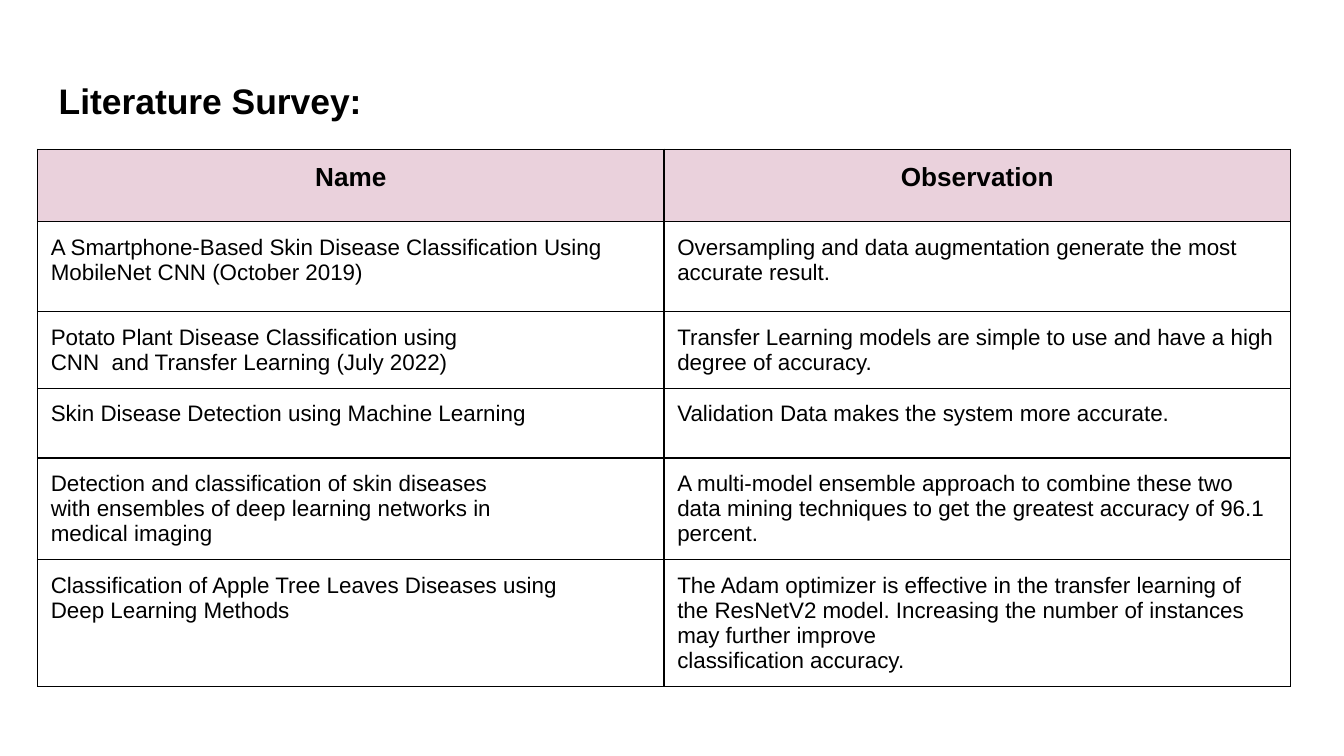
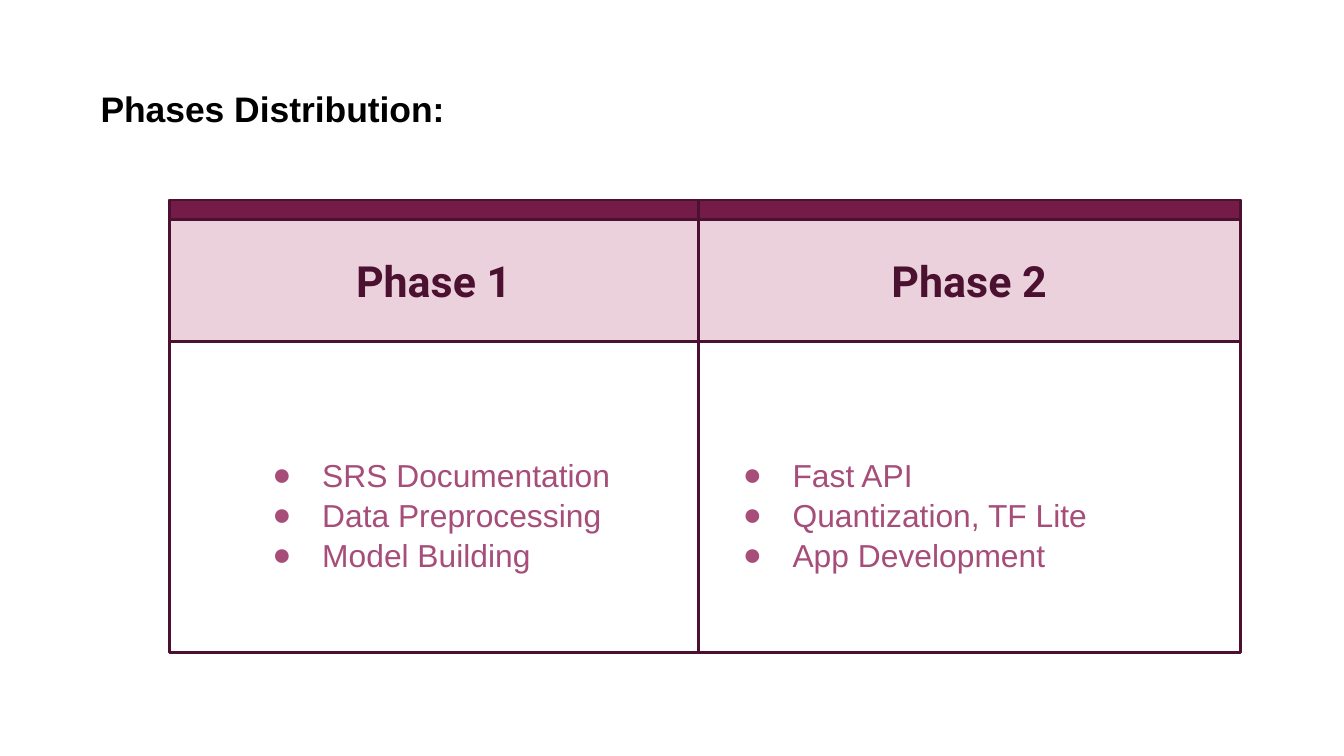
from lxml import etree
from pptx import Presentation
from pptx.dml.color import RGBColor
from pptx.enum.shapes import MSO_SHAPE
from pptx.enum.text import MSO_ANCHOR, MSO_AUTO_SIZE, PP_ALIGN
from pptx.oxml.ns import qn
from pptx.util import Cm, Pt

RECT = MSO_SHAPE.RECTANGLE
TOP, MIDDLE = MSO_ANCHOR.TOP, MSO_ANCHOR.MIDDLE
LEFT, CENTER = PP_ALIGN.LEFT, PP_ALIGN.CENTER
NO_FIT = MSO_AUTO_SIZE.NONE

THEME = {
    "black": RGBColor.from_string("000000"),
    "pink": RGBColor.from_string("EAD1DC"),
    "plum": RGBColor.from_string("741B47"),
    "dark": RGBColor.from_string("4C1130"),
    "rose": RGBColor.from_string("A64D79"),
    "title": {"name": "Arial", "size": Pt(19), "bold": True},
    "head": {"name": "Arial", "size": Pt(14), "bold": True},
    "body": {"name": "Arial", "size": Pt(12), "bold": False},
    "phase": {"name": "Roboto", "size": Pt(23), "bold": True},
    "task": {"name": "Arial", "size": Pt(17), "bold": False},
}
INSET = Cm(0.25)
FRAME = {
    "margin_left": INSET, "margin_top": INSET,
    "margin_right": INSET, "margin_bottom": INSET,
    "word_wrap": True, "auto_size": NO_FIT,
}


def write(tf, text, style, color, align=LEFT, anchor=TOP):
    for key, value in FRAME.items():
        setattr(tf, key, value)
    tf.vertical_anchor = anchor
    for i, line in enumerate(text.split("\n")):
        p = tf.paragraphs[0] if i == 0 else tf.add_paragraph()
        p.alignment = align
        r = p.add_run()
        r.text = line
        for key, value in THEME[style].items():
            setattr(r.font, key, value)
        r.font.color.rgb = THEME[color]


def titled_slide(title, box):
    s = prs.slides.add_slide(prs.slide_layouts[5])
    sp = s.shapes.title
    sp.left, sp.top, sp.width, sp.height = map(Cm, box)
    write(sp.text_frame, title, "title", "black")
    return s


prs = Presentation()
prs.slide_width, prs.slide_height = Cm(25.4), Cm(14.29)

s = titled_slide("Literature Survey:", (0.86, 1.24, 23.67, 1.6))
survey = [
    ("Name", "Observation"),
    ("A Smartphone-Based Skin Disease Classification Using MobileNet CNN (October 2019)",
     "Oversampling and data augmentation generate the most accurate result."),
    ("Potato Plant Disease Classification using\nCNN  and Transfer Learning (July 2022)",
     "Transfer Learning models are simple to use and have a high degree of accuracy."),
    ("Skin Disease Detection using Machine Learning",
     "Validation Data makes the system more accurate."),
    ("Detection and classification of skin diseases\n"
     "with ensembles of deep learning networks in\nmedical imaging",
     "A multi-model ensemble approach to combine these two data mining techniques "
     "to get the greatest accuracy of 96.1 percent."),
    ("Classification of Apple Tree Leaves Diseases using\nDeep Learning Methods",
     "The Adam optimizer is effective in the transfer learning of the ResNetV2 model. "
     "Increasing the number of instances may further improve\nclassification accuracy."),
]
row_heights = [1.37, 1.7] + [1.32] * 4
table = s.shapes.add_table(len(survey), 2, Cm(0.71), Cm(2.82),
                           Cm(23.68), Cm(sum(row_heights))).table
table.first_row = table.horz_banding = False
for col in table.columns:
    col.width = Cm(11.84)
for i, (row, height) in enumerate(zip(table.rows, row_heights)):
    row.height = Cm(height)
    for cell, text in zip(row.cells, survey[i]):
        if i == 0:
            cell.fill.solid()
            cell.fill.fore_color.rgb = THEME["pink"]
            write(cell.text_frame, text, "head", "black", CENTER)
        else:
            cell.fill.background()
            write(cell.text_frame, text, "body", "black")
        for side in ("left", "top", "right", "bottom"):
            setattr(cell, "margin_" + side, INSET)
        tcPr = cell._tc.get_or_add_tcPr()
        for n, tag in enumerate(("a:lnL", "a:lnR", "a:lnT", "a:lnB")):
            ln = etree.Element(qn(tag), w=str(Pt(0.75)))
            fill = etree.SubElement(ln, qn("a:solidFill"))
            etree.SubElement(fill, qn("a:srgbClr"), val=str(THEME["black"]))
            tcPr.insert(n, ln)

s = titled_slide("Phases Distribution:", (1.65, 1.4, 17.32, 1.32))
phases = [
    ("Phase 1", 3.2, 10, 4.57, 7.24,
     "SRS Documentation\nData Preprocessing\nModel Building"),
    ("Phase 2", 13.2, 10.24, 13.46, 9.17,
     "Fast API\nQuantization, TF Lite\nApp Development"),
]
card_top, card_height, band_height, head_height = 3.78, 8.56, 0.37, 2.31
for name, left, width, task_left, task_width, tasks in phases:
    card = s.shapes.add_group_shape()
    parts = [(card_top, card_height, None), (card_top, band_height, "plum"),
             (card_top + band_height, head_height, "pink")]
    for top, height, color in parts:
        sp = card.shapes.add_shape(RECT, Cm(left), Cm(top), Cm(width), Cm(height))
        sp.shadow.inherit = False
        sp.line.color.rgb = THEME["dark"]
        sp.line.width = Pt(1.5)
        if color:
            sp.fill.solid()
            sp.fill.fore_color.rgb = THEME[color]
        else:
            sp.fill.background()
    write(sp.text_frame, name, "phase", "dark", CENTER, MIDDLE)

    tf = s.shapes.add_textbox(Cm(task_left), Cm(8.33), Cm(task_width), Cm(2.69)).text_frame
    write(tf, tasks, "task", "rose")
    for p in tf.paragraphs:
        p.line_spacing = 1.05
        pPr = p._p.get_or_add_pPr()
        pPr.set("marL", str(Cm(1.27)))
        pPr.set("indent", str(-Cm(0.94)))
        color = etree.SubElement(pPr, qn("a:buClr"))
        etree.SubElement(color, qn("a:srgbClr"), val=str(THEME["rose"]))
        etree.SubElement(pPr, qn("a:buFont"), typeface="Arial")
        etree.SubElement(pPr, qn("a:buChar"), char="●")

prs.save("out.pptx")
